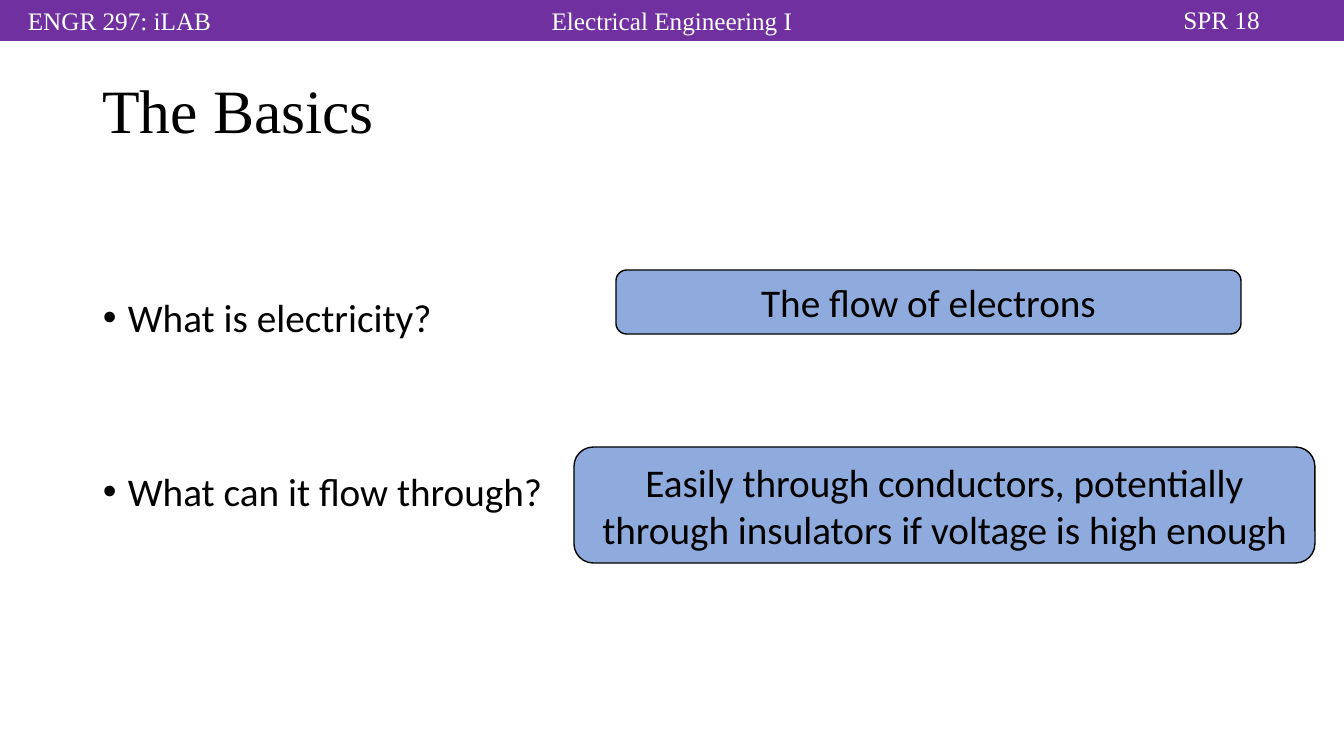
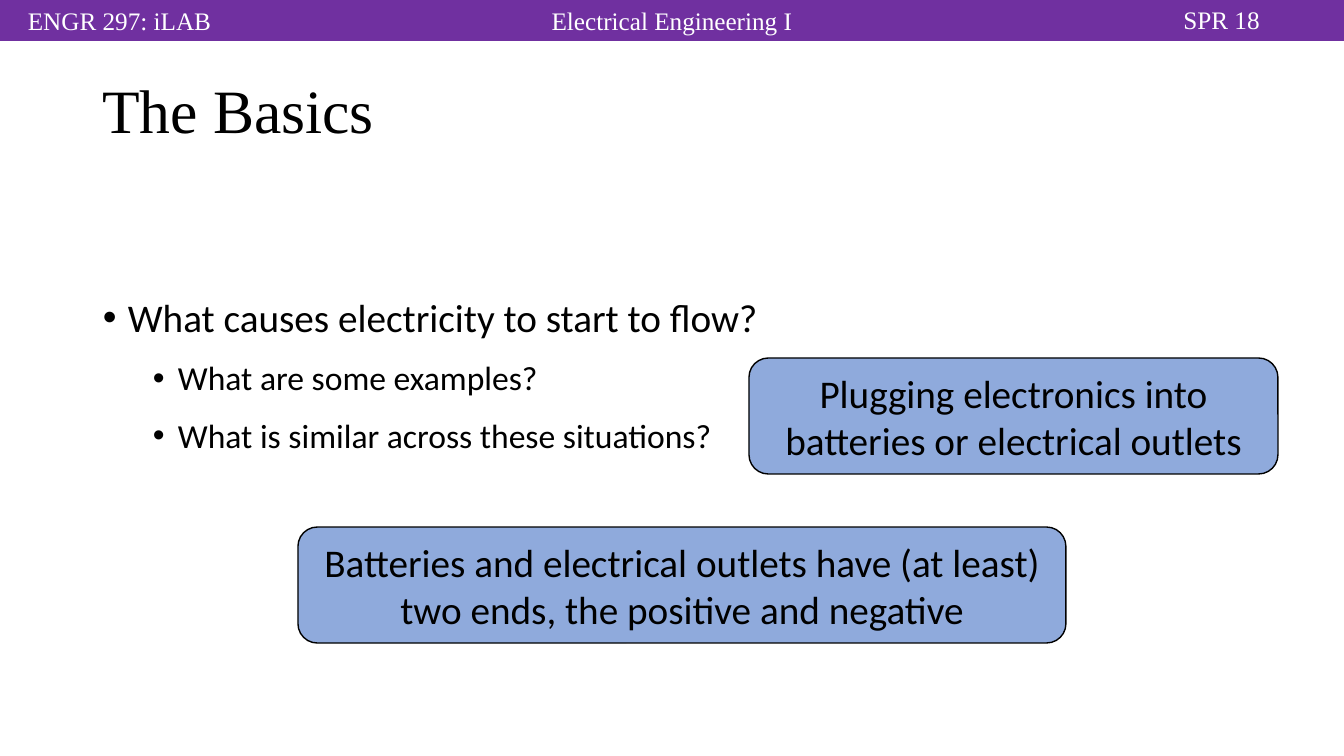
from dataclasses import dataclass

from lxml import etree
from pptx import Presentation
from pptx.dml.color import RGBColor
from pptx.enum.shapes import MSO_SHAPE
from pptx.enum.text import MSO_ANCHOR, MSO_AUTO_SIZE, PP_ALIGN
from pptx.oxml.ns import qn
from pptx.util import Emu, Pt

# Shared look
RECTANGLE = MSO_SHAPE.RECTANGLE
ROUNDED = MSO_SHAPE.ROUNDED_RECTANGLE
LEFT, CENTER = PP_ALIGN.LEFT, PP_ALIGN.CENTER
TOP, MIDDLE = MSO_ANCHOR.TOP, MSO_ANCHOR.MIDDLE
NO_AUTOFIT = MSO_AUTO_SIZE.NONE

PURPLE, BLUE, BLACK, WHITE = "7030A0", "8FAADC", "000000", "FFFFFF"
HEADING_FONT, BODY_FONT = "Times New Roman", "Calibri"
PX_PER_INCH = 100.8
SLIDE_WIDTH, SLIDE_HEIGHT, BAND_HEIGHT = 1344, 756, 40
BULLET_HANG = 25
BULLET_STEP = 50


@dataclass(frozen=True)
class Box:
    left: int
    top: int
    width: int
    height: int


@dataclass(frozen=True)
class Label:
    text: str
    box: Box


@dataclass(frozen=True)
class Bullet:
    text: str
    level: int = 0
    space_before: int = 12


@dataclass(frozen=True)
class Page:
    title: str
    bullets: tuple[Bullet, ...]
    answers: tuple[Label, ...]


TITLE_BOX = Box(92, 41, 1160, 146)
BODY_BOX = Box(93, 265, 1159, 418)
BAND_BOX = Box(0, 0, SLIDE_WIDTH, BAND_HEIGHT)
BAND_LABELS = (
    Label("ENGR 297: iLAB", Box(0, 0, 239, BAND_HEIGHT)),
    Label("Electrical Engineering I", Box(445, 0, 454, BAND_HEIGHT)),
    Label("SPR 18", Box(1100, -1, 243, BAND_HEIGHT)),
)

# Slide content
PAGES = (
    Page(
        "The Basics",
        (
            Bullet("What is electricity?", space_before=0),
            Bullet("What can it flow through?", space_before=74),
        ),
        (
            Label("The flow of electrons", Box(616, 270, 625, 64)),
            Label(
                "Easily through conductors, potentially through insulators "
                "if voltage is high enough",
                Box(574, 447, 741, 116),
            ),
        ),
    ),
    Page(
        "The Basics",
        (
            Bullet("What causes electricity to start to flow?", space_before=0),
            Bullet("What are some examples?", level=1),
            Bullet("What is similar across these situations?", level=1),
        ),
        (
            Label(
                "Batteries and electrical outlets have (at least) two ends, "
                "the positive and negative",
                Box(298, 527, 768, 116),
            ),
            Label(
                "Plugging electronics into batteries or electrical outlets",
                Box(749, 358, 529, 116),
            ),
        ),
    ),
)


# Helpers
def px(length: int) -> Emu:
    return Emu(round(length * 914400 / PX_PER_INCH))


def color(value: str) -> RGBColor:
    return RGBColor.from_string(value)


def apply_format(target, values: dict) -> None:
    for name, value in values.items():
        setattr(target, name, value)


def place(box: Box) -> tuple[Emu, Emu, Emu, Emu]:
    return px(box.left), px(box.top), px(box.width), px(box.height)


def format_frame(frame, anchor) -> None:
    apply_format(frame, {"word_wrap": True, "auto_size": NO_AUTOFIT,
                         "vertical_anchor": anchor})


def write(paragraph, text: str, font: str, size: int, text_color: str,
          align=LEFT, spacing: float = 1.0, before: int = 0) -> None:
    run = paragraph.add_run()
    run.text = text
    apply_format(run.font, {"name": font, "size": Pt(size)})
    run.font.color.rgb = color(text_color)
    apply_format(paragraph, {"alignment": align, "line_spacing": spacing,
                             "space_before": Pt(before)})


def add_panel(slide, kind, box: Box, fill: str, outline: str):
    shape = slide.shapes.add_shape(kind, *place(box))
    shape.shadow.inherit = False
    shape.fill.solid()
    shape.fill.fore_color.rgb = color(fill)
    shape.line.color.rgb = color(outline)
    shape.line.width = Pt(1)
    return shape


def set_bullet(paragraph, level: int) -> None:
    paragraph.level = level
    properties = paragraph._p.get_or_add_pPr()
    properties.set("marL", str(px(BULLET_HANG + level * BULLET_STEP)))
    properties.set("indent", str(-px(BULLET_HANG)))
    etree.SubElement(properties, qn("a:buFont")).set("typeface", "Arial")
    etree.SubElement(properties, qn("a:buChar")).set("char", "•")


# Slide parts
def add_band(slide) -> None:
    add_panel(slide, RECTANGLE, BAND_BOX, PURPLE, PURPLE)
    for label in BAND_LABELS:
        frame = slide.shapes.add_textbox(*place(label.box)).text_frame
        format_frame(frame, TOP)
        write(frame.paragraphs[0], label.text, HEADING_FONT, 18, WHITE, CENTER)


def add_title(slide, text: str) -> None:
    title = slide.shapes.title
    names = ("left", "top", "width", "height")
    apply_format(title, dict(zip(names, place(TITLE_BOX))))
    format_frame(title.text_frame, MIDDLE)
    write(title.text_frame.paragraphs[0], text, HEADING_FONT, 44, BLACK,
          spacing=0.9)


def add_bullets(slide, bullets: tuple[Bullet, ...]) -> None:
    frame = slide.shapes.add_textbox(*place(BODY_BOX)).text_frame
    format_frame(frame, TOP)
    for index, bullet in enumerate(bullets):
        paragraph = frame.add_paragraph() if index else frame.paragraphs[0]
        size, spacing = (24, 1.0) if bullet.level else (28, 1.5)
        write(paragraph, bullet.text, BODY_FONT, size, BLACK,
              spacing=spacing, before=bullet.space_before)
        set_bullet(paragraph, bullet.level)


def add_answer(slide, answer: Label) -> None:
    frame = add_panel(slide, ROUNDED, answer.box, BLUE, BLACK).text_frame
    format_frame(frame, MIDDLE)
    write(frame.paragraphs[0], answer.text, BODY_FONT, 28, BLACK, CENTER)


def add_page(presentation, page: Page) -> None:
    title_only = presentation.slide_layouts.get_by_name("Title Only")
    slide = presentation.slides.add_slide(title_only)
    add_band(slide)
    add_title(slide, page.title)
    add_bullets(slide, page.bullets)
    for answer in page.answers:
        add_answer(slide, answer)


def main() -> None:
    presentation = Presentation()
    apply_format(presentation, {"slide_width": px(SLIDE_WIDTH),
                                "slide_height": px(SLIDE_HEIGHT)})
    for page in PAGES:
        add_page(presentation, page)
    presentation.save("out.pptx")


if __name__ == "__main__":
    main()
